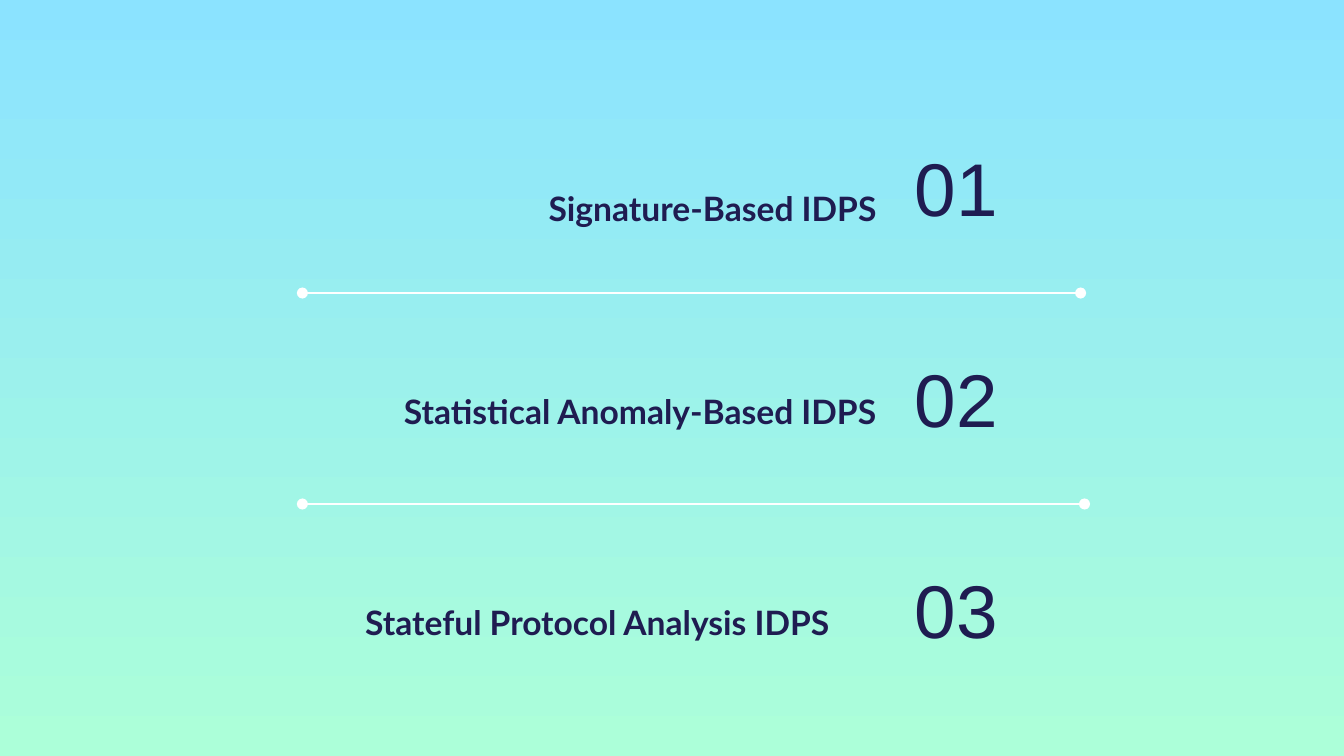
from lxml import etree
from pptx import Presentation
from pptx.dml.color import RGBColor
from pptx.enum.shapes import MSO_CONNECTOR
from pptx.enum.text import MSO_ANCHOR, PP_ALIGN
from pptx.oxml.ns import qn
from pptx.util import Pt

STRAIGHT = MSO_CONNECTOR.STRAIGHT
MIDDLE, BOTTOM = MSO_ANCHOR.MIDDLE, MSO_ANCHOR.BOTTOM
LEFT, RIGHT, JUSTIFY = PP_ALIGN.LEFT, PP_ALIGN.RIGHT, PP_ALIGN.JUSTIFY

# Content: number, label, label top, width, height, alignment
ITEMS = [
    ("01", "Signature-Based IDPS", 93.6, 214.6, 36, RIGHT),
    ("02", "Statistical Anomaly-Based IDPS", 188.6, 294.5, 49.7, RIGHT),
    ("03", "Stateful Protocol Analysis IDPS", 315.4, 288, 36, JUSTIFY),
]
DIVIDER_ENDS = [578.9, 581]
COLORS = {"sky": "8BE3FF", "mint": "ACFFD9", "navy": "1F1C51", "white": "FFFFFF"}

# Layout in points
ROW_STEP = 113
NUMBER_LEFT, NUMBER_TOP, NUMBER_WIDTH, NUMBER_HEIGHT = 483.1, 69.1, 93.6, 61.9
LABEL_RIGHT = 476.6
DIVIDER_LEFT, DIVIDER_TOP = 162, 157
INSET = 7.2


def color(name):
    return RGBColor.from_string(COLORS[name])


def add_text(slide, text, box, font, size, bold, anchor, alignment):
    shape = slide.shapes.add_textbox(*(Pt(value) for value in box))
    frame = shape.text_frame
    frame.word_wrap = True
    frame.vertical_anchor = anchor
    frame.margin_left = frame.margin_right = Pt(INSET)
    frame.margin_top = frame.margin_bottom = Pt(INSET)
    frame.text = text
    paragraph = frame.paragraphs[0]
    paragraph.alignment = alignment
    run = paragraph.runs[0]
    run.font.name = font
    run.font.size = Pt(size)
    run.font.bold = bold
    run.font.color.rgb = color("navy")
    return paragraph


def add_divider(slide, right, top):
    connector = slide.shapes.add_connector(
        STRAIGHT, Pt(DIVIDER_LEFT), Pt(top), Pt(right), Pt(top))
    connector.line.color.rgb = color("white")
    connector.line.width = Pt(1.5)
    line = connector.line._get_or_add_ln()
    for end in ("a:headEnd", "a:tailEnd"):
        etree.SubElement(line, qn(end), type="oval", w="med", len="med")
    etree.SubElement(connector._element.spPr, qn("a:effectLst"))


def main():
    presentation = Presentation()
    presentation.slide_width, presentation.slide_height = Pt(720), Pt(405)
    slide = presentation.slides.add_slide(presentation.slide_layouts[6])

    # Background gradient, top to bottom
    fill = slide.background.fill
    fill.gradient()
    fill.gradient_angle = 270
    for stop, name in zip(fill.gradient_stops, ("sky", "mint")):
        stop.color.rgb = color(name)

    # Numbers and labels
    for row, (number, label, top, width, height, alignment) in enumerate(ITEMS):
        number_box = (NUMBER_LEFT, NUMBER_TOP + row * ROW_STEP,
                      NUMBER_WIDTH, NUMBER_HEIGHT)
        add_text(slide, number, number_box, "Arial", 40, False, MIDDLE, LEFT)
        label_box = (LABEL_RIGHT - width, top, width, height)
        paragraph = add_text(slide, label, label_box, "Lato", 18, True,
                             BOTTOM, alignment)
        paragraph.line_spacing = 1.07
        paragraph.space_after = Pt(8)

    # Dividers between the rows
    for row, right in enumerate(DIVIDER_ENDS):
        add_divider(slide, right, DIVIDER_TOP + row * ROW_STEP)

    presentation.save("out.pptx")


if __name__ == "__main__":
    main()
